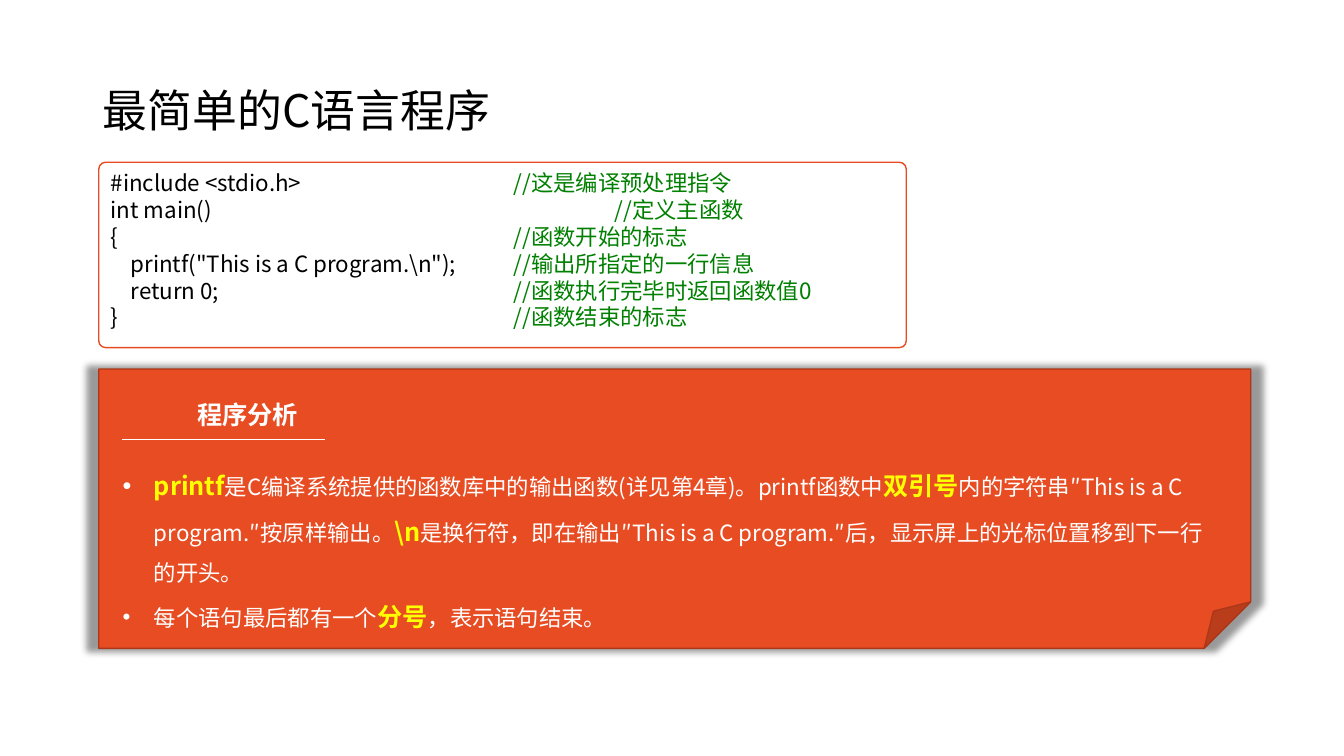
from lxml.etree import SubElement
from pptx import Presentation
from pptx.dml.color import RGBColor
from pptx.enum.shapes import MSO_CONNECTOR, MSO_SHAPE
from pptx.enum.text import MSO_ANCHOR, PP_ALIGN
from pptx.oxml.ns import qn
from pptx.util import Cm, Pt

FONT = "Noto Sans CJK SC"
WHITE, BLACK, GREEN, YELLOW = "FFFFFF", "000000", "008000", "FFFF00"
ORANGE, DARK_ORANGE = "E84C22", "AC3819"

TITLE = "最简单的C语言程序"
COMMENT_TAB, MAIN_TAB = 10.16, 12.7
CODE_LINES = [
    ("#include <stdio.h>", "//这是编译预处理指令", COMMENT_TAB),
    ("int main()", "//定义主函数", MAIN_TAB),
    ("{", "//函数开始的标志", COMMENT_TAB),
    ("    printf(\"This is a C program.\\n\");", "//输出所指定的一行信息", COMMENT_TAB),
    ("    return 0;", "//函数执行完毕时返回函数值0", COMMENT_TAB),
    ("}", "//函数结束的标志", COMMENT_TAB),
]
HEADING = "程序分析"
PLAIN, KEY = (16, WHITE, False), (18, YELLOW, True)
ANALYSIS = [
    [
        ("printf", KEY),
        ("是C编译系统提供的函数库中的输出函数(详见第4章)。printf函数中", PLAIN),
        ("双引号", KEY),
        ("内的字符串″This is a C program.″按原样输出。", PLAIN),
        ("\\n", KEY),
        ("是换行符，即在输出″This is a C program.″后，显示屏上的光标位置移到下一行的开头。", PLAIN),
    ],
    [("每个语句最后都有一个", PLAIN), ("分号", KEY), ("，表示语句结束。", PLAIN)],
]


def color(value):
    return RGBColor.from_string(value)


def add_run(paragraph, text, size, run_color, bold=False):
    run = paragraph.add_run()
    run.text = text
    run.font.size = Pt(size)
    run.font.bold = bold
    run.font.name = FONT
    run.font.color.rgb = color(run_color)
    SubElement(run.font._element, qn("a:ea"), typeface=FONT)


def add_paragraph(frame, index):
    return frame.add_paragraph() if index else frame.paragraphs[0]


def add_text(shapes, left, top, width, height):
    frame = shapes.add_textbox(Cm(left), Cm(top), Cm(width), Cm(height)).text_frame
    frame.word_wrap = True
    return frame


def add_panel(shapes, kind, bounds, fill, line):
    shape = shapes.add_shape(kind, *[Cm(length) for length in bounds])
    shape.shadow.inherit = False
    shape.fill.solid()
    shape.fill.fore_color.rgb = color(fill)
    shape.line.color.rgb = color(line)
    shape.line.width = Pt(1)
    return shape


def add_shadow(shape):
    effects = shape._element.spPr.find(qn("a:effectLst"))
    shadow = SubElement(effects, qn("a:outerShdw"), blurRad=str(Pt(5)),
                        sx="102000", sy="102000", algn="ctr", rotWithShape="0")
    shade = SubElement(shadow, qn("a:srgbClr"), val=BLACK)
    SubElement(shade, qn("a:alpha"), val="40000")


def add_bullet(paragraph):
    properties = paragraph._p.get_or_add_pPr()
    properties.set("marL", str(Cm(0.79)))
    properties.set("indent", str(-Cm(0.79)))
    bullet_color = SubElement(properties, qn("a:buClr"))
    SubElement(bullet_color, qn("a:srgbClr"), val=WHITE)
    SubElement(properties, qn("a:buFont"), typeface="Arial")
    SubElement(properties, qn("a:buChar"), char="•")


def add_code(shapes):
    box = add_panel(shapes, MSO_SHAPE.ROUNDED_RECTANGLE, (2.49, 4.09, 20.35, 4.67), WHITE, ORANGE)
    box.adjustments[0] = 0.037
    frame = box.text_frame
    frame.word_wrap = True
    frame.vertical_anchor = MSO_ANCHOR.TOP
    for index, (code, comment, tab) in enumerate(CODE_LINES):
        paragraph = add_paragraph(frame, index)
        paragraph.alignment = PP_ALIGN.LEFT
        tabs = SubElement(paragraph._p.get_or_add_pPr(), qn("a:tabLst"))
        SubElement(tabs, qn("a:tab"), pos=str(Cm(tab)), algn="l")
        add_run(paragraph, code + "\t", 16, BLACK)
        add_run(paragraph, comment, 16, GREEN)


def add_heading(shapes):
    group = shapes.add_group_shape().shapes
    paragraph = add_text(group, 4.72, 9.93, 3.45, 1.17).paragraphs[0]
    paragraph.alignment = PP_ALIGN.JUSTIFY
    add_run(paragraph, HEADING, 18, WHITE, True)
    rule = group.add_connector(MSO_CONNECTOR.STRAIGHT, Cm(3.07), Cm(11.07), Cm(8.18), Cm(11.07))
    rule.line.color.rgb = color(WHITE)
    rule.line.width = Pt(0.5)
    SubElement(rule._element.spPr, qn("a:effectLst"))


def add_analysis(shapes):
    note = add_panel(shapes, MSO_SHAPE.FOLDED_CORNER, (2.49, 9.3, 29.03, 7.04), ORANGE, DARK_ORANGE)
    add_shadow(note)
    add_heading(shapes)
    frame = add_text(shapes, 2.84, 11.35, 28.17, 4.75)
    for index, runs in enumerate(ANALYSIS):
        paragraph = add_paragraph(frame, index)
        paragraph.line_spacing = 1.5
        add_bullet(paragraph)
        for text, style in runs:
            add_run(paragraph, text, *style)


def main():
    """Build the slide about the simplest C program."""
    presentation = Presentation()
    presentation.slide_width, presentation.slide_height = Cm(33.87), Cm(19.05)
    slide = presentation.slides.add_slide(presentation.slide_layouts[6])
    slide.background.fill.solid()
    slide.background.fill.fore_color.rgb = color(WHITE)
    title = add_text(slide.shapes, 2.34, 1.02, 29.21, 3.68)
    title.vertical_anchor = MSO_ANCHOR.MIDDLE
    title.paragraphs[0].line_spacing = 0.9
    add_run(title.paragraphs[0], TITLE, 32, BLACK)
    add_code(slide.shapes)
    add_analysis(slide.shapes)
    presentation.save("out.pptx")


if __name__ == "__main__":
    main()
